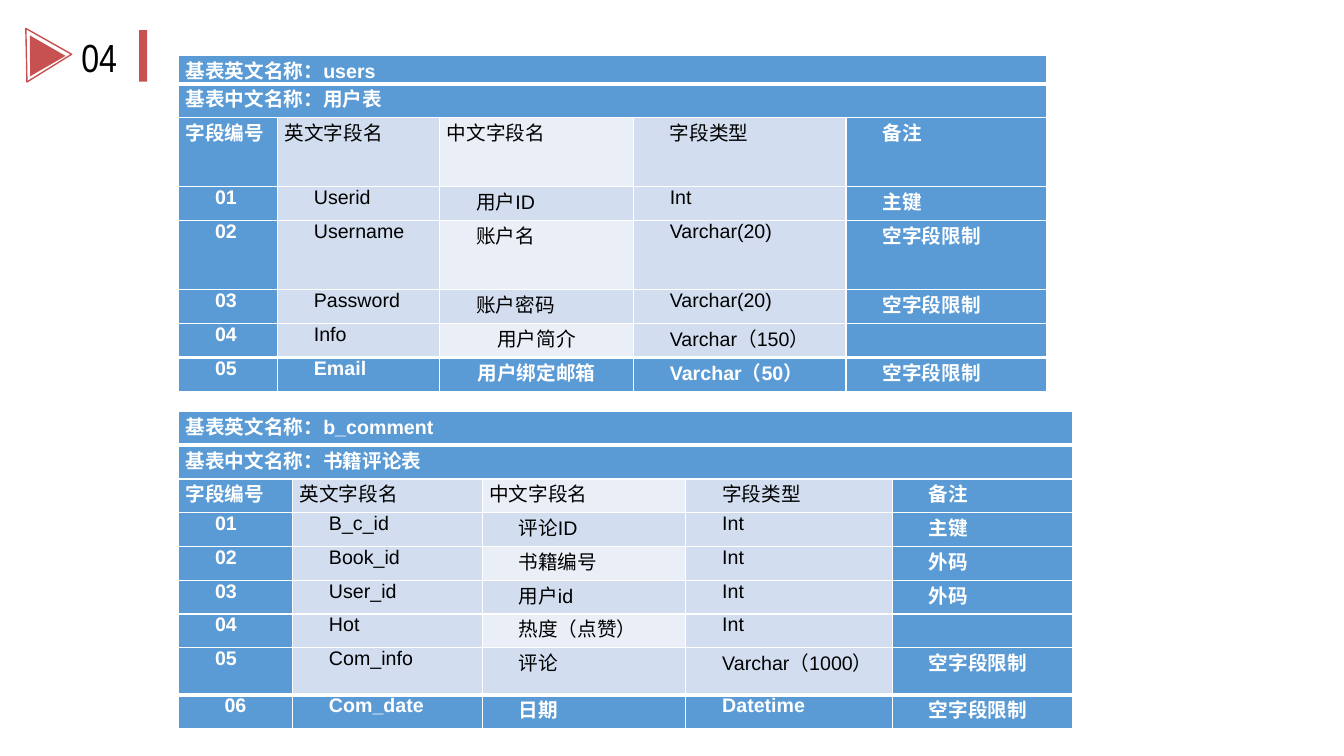
from lxml.etree import SubElement
from pptx import Presentation
from pptx.dml.color import RGBColor
from pptx.enum.shapes import MSO_SHAPE
from pptx.enum.text import MSO_AUTO_SIZE, PP_ALIGN
from pptx.oxml.ns import qn
from pptx.util import Cm, Pt

RED, BLUE, PALE, LIGHT = "C75050", "5B9BD5", "D2DEEF", "EAEFF7"
WHITE, BLACK = "FFFFFF", "000000"
INDENT = Cm(0.74)


def color(hex_string):
    return RGBColor.from_string(hex_string)


def set_border(cell, side, points):
    line = SubElement(cell._tc.get_or_add_tcPr(), qn(f"a:{side}"), w=str(Pt(points)))
    fill = SubElement(line, qn("a:solidFill"))
    SubElement(fill, qn("a:srgbClr"), val=WHITE)


presentation = Presentation()
presentation.slide_width = Cm(33.87)
presentation.slide_height = Cm(19.05)
slide = presentation.slides.add_slide(presentation.slide_layouts[6])

# Section marker: bar and number
bar = slide.shapes.add_shape(MSO_SHAPE.RECTANGLE, Cm(3.51), Cm(0.76), Cm(0.2), Cm(1.3))
bar.shadow.inherit = False
bar.fill.solid()
bar.fill.fore_color.rgb = color(RED)
bar.line.fill.background()

number = slide.shapes.add_textbox(Cm(1.8), Cm(0.71), Cm(1.9), Cm(1.45))
number.text_frame.word_wrap = True
number.text_frame.auto_size = MSO_AUTO_SIZE.SHAPE_TO_FIT_TEXT
number.text_frame.text = "04"
number_font = number.text_frame.paragraphs[0].runs[0].font
number_font.size = Pt(28)
number_font.name = "Arial Narrow"
number_font.color.rgb = color(BLACK)

# Section marker: outlined and filled triangles
triangles = slide.shapes.add_group_shape()
for left, top, width, height, rotation, filled in (
    (0.56, 0.81, 1.35, 1.14, 88.8, False),
    (0.46, 1.09, 1.04, 0.89, 209.8, True),
):
    triangle = triangles.shapes.add_shape(
        MSO_SHAPE.ISOSCELES_TRIANGLE, Cm(left), Cm(top), Cm(width), Cm(height))
    triangle.rotation = rotation
    triangle.shadow.inherit = False
    if filled:
        triangle.fill.solid()
        triangle.fill.fore_color.rgb = color(RED)
        triangle.line.fill.background()
    else:
        triangle.fill.background()
        triangle.line.color.rgb = color(RED)
        triangle.line.width = Pt(1)

# Table contents; centered lists (row, column) positions
HEADINGS = ("字段编号", "英文字段名", "中文字段名", "字段类型", "备注")
TABLES = (
    {
        "top": 1.4,
        "columns": (2.49, 4.09, 4.88, 5.36, 5.05),
        "heights": (0.71, 0.86, 1.73, 0.86, 1.73, 0.86, 0.86, 0.86),
        "centered": {(6, 2), (7, 2)},
        "rows": (
            ("基表英文名称：users",),
            ("基表中文名称：用户表",),
            HEADINGS,
            ("01", "Userid", "用户ID", "Int", "主键"),
            ("02", "Username", "账户名", "Varchar(20)", "空字段限制"),
            ("03", "Password", "账户密码", "Varchar(20)", "空字段限制"),
            ("04", "Info", "用户简介", "Varchar（150）", ""),
            ("05", "Email", "用户绑定邮箱", "Varchar（50）", "空字段限制"),
        ),
    },
    {
        "top": 10.37,
        "columns": (2.87, 4.78, 5.13, 5.21, 4.55),
        "heights": (0.85,) * 9,
        "centered": {(8, 0)},
        "rows": (
            ("基表英文名称：b_comment",),
            ("基表中文名称：书籍评论表",),
            HEADINGS,
            ("01", "B_c_id", "评论ID", "Int", "主键"),
            ("02", "Book_id", "书籍编号", "Int", "外码"),
            ("03", "User_id", "用户id", "Int", "外码"),
            ("04", "Hot", "热度（点赞）", "Int", ""),
            ("05", "Com_info", "评论", "Varchar（1000）", "空字段限制"),
            ("06", "Com_date", "日期", "Datetime", "空字段限制"),
        ),
    },
)

# Field tables
for content in TABLES:
    rows, columns, heights = content["rows"], content["columns"], content["heights"]
    last_row, last_column = len(rows) - 1, len(columns) - 1
    table = slide.shapes.add_table(
        len(rows), len(columns), Cm(4.5), Cm(content["top"]),
        Cm(sum(columns)), Cm(sum(heights))).table
    for column, width in zip(table.columns, columns):
        column.width = Cm(width)

    for row_index, values in enumerate(rows):
        table.rows[row_index].height = Cm(heights[row_index])
        if len(values) == 1:
            table.cell(row_index, 0).merge(table.cell(row_index, last_column))

        for column_index in range(len(columns)):
            cell = table.cell(row_index, column_index)
            cell.margin_left = cell.margin_right = Cm(0.18)
            cell.margin_top = cell.margin_bottom = 0

            # Heavy rules below the title and above the last row
            set_border(cell, "lnL", 1)
            set_border(cell, "lnR", 1)
            set_border(cell, "lnT", 3 if row_index in (1, last_row) else 1)
            set_border(cell, "lnB", 3 if row_index in (0, last_row - 1) else 1)

            # Blue frame, pale inside, banded middle column
            framed = (row_index in (0, 1, last_row)
                      or column_index in (0, last_column))
            banded = column_index == 2 and row_index % 2 == 0
            cell.fill.solid()
            cell.fill.fore_color.rgb = color(
                BLUE if framed else LIGHT if banded else PALE)

            if column_index >= len(values) or not values[column_index]:
                continue
            paragraph = cell.text_frame.paragraphs[0]
            paragraph.text = values[column_index]
            if (row_index, column_index) in content["centered"]:
                paragraph.alignment = PP_ALIGN.CENTER
            else:
                paragraph.alignment = PP_ALIGN.JUSTIFY
                if row_index > 2 or (row_index == 2 and column_index > 2):
                    paragraph._p.get_or_add_pPr().set("indent", str(INDENT))
            font = paragraph.runs[0].font
            font.name = "Arial"
            font.size = Pt(14)
            font.bold = framed
            font.color.rgb = color(WHITE if framed else BLACK)

presentation.save("out.pptx")
